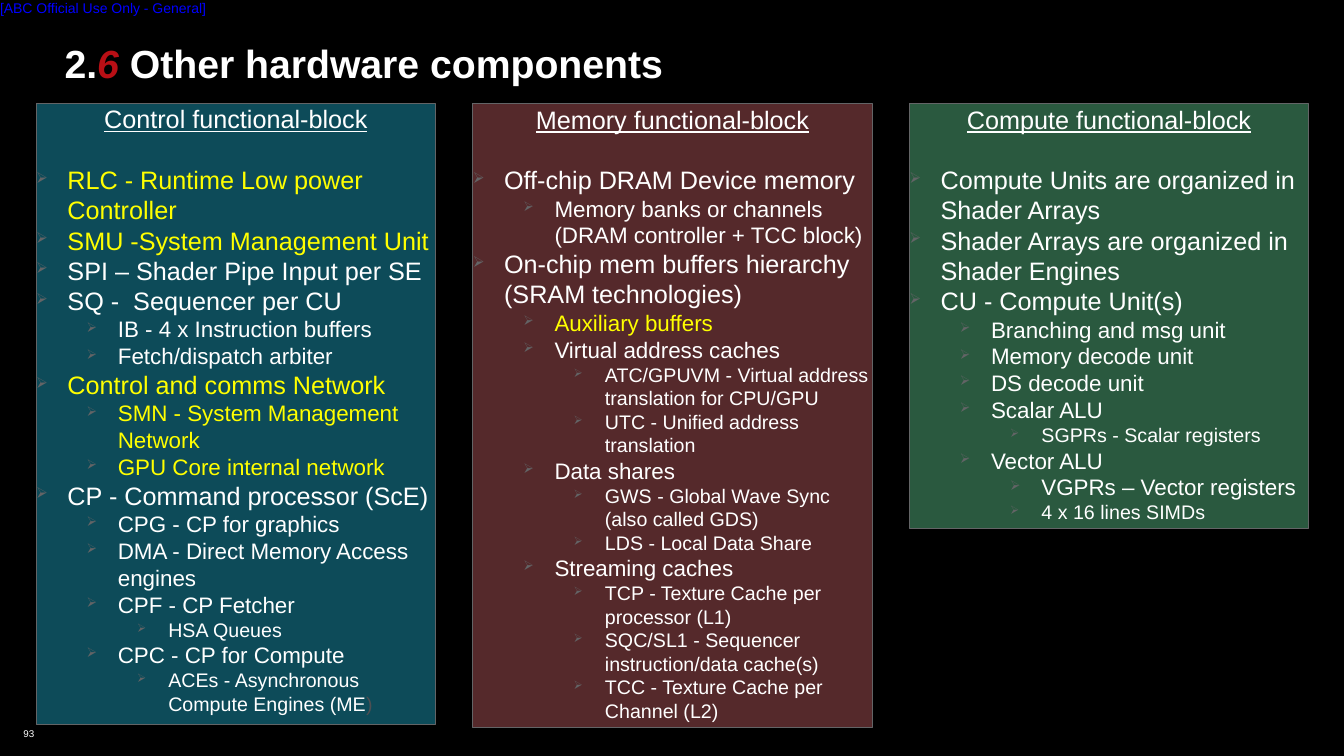
from lxml import etree
from pptx import Presentation
from pptx.dml.color import RGBColor
from pptx.enum import shapes, text
from pptx.oxml import ns
from pptx.util import Inches, Pt

BLACK = RGBColor(0x00, 0x00, 0x00)
WHITE = RGBColor(0xFF, 0xFF, 0xFF)
YELLOW = RGBColor(0xFF, 0xFF, 0x00)
RED = RGBColor(0xB8, 0x0F, 0x15)
BLUE = RGBColor(0x00, 0x00, 0xFF)
GREY = RGBColor(0x63, 0x64, 0x66)
DARK = RGBColor(0x4E, 0x4F, 0x52)
CYAN = RGBColor(0x28, 0xD8, 0xFF)
PINK = RGBColor(0xF4, 0x77, 0x7C)
MINT = RGBColor(0x79, 0xFF, 0xB6)

LABEL = "[ABC Official Use Only - General]"
PAGE = "93"
TITLE = [("2.", WHITE, False), ("6 ", RED, True),
         ("Other hardware components", WHITE, False)]
SIZES = [18, 16, 14]

BLOCKS = [
    ("Control functional-block", CYAN, 6.16, [
        (0, "RLC - Runtime Low power Controller", YELLOW),
        (0, "SMU -System Management Unit", YELLOW),
        (0, "SPI – Shader Pipe Input per SE"),
        (0, "SQ -  Sequencer per CU"),
        (1, "IB - 4 x Instruction buffers"),
        (1, "Fetch/dispatch arbiter"),
        (0, "Control and comms Network", YELLOW),
        (1, "SMN - System Management Network", YELLOW),
        (1, "GPU Core internal network", YELLOW),
        (0, "CP - Command processor (ScE)"),
        (1, "CPG - CP for graphics"),
        (1, "DMA - Direct Memory Access engines"),
        (1, "CPF - CP Fetcher"),
        (2, "HSA Queues"),
        (1, "CPC - CP for Compute"),
        (2, "ACEs - Asynchronous Compute Engines (ME"),
    ]),
    ("Memory functional-block", PINK, 6.19, [
        (0, "Off-chip DRAM Device memory"),
        (1, "Memory banks or channels (DRAM controller + TCC block)"),
        (0, "On-chip mem buffers hierarchy (SRAM technologies)"),
        (1, "Auxiliary buffers", YELLOW),
        (1, "Virtual address caches"),
        (2, "ATC/GPUVM - Virtual address translation for CPU/GPU"),
        (2, "UTC - Unified address translation"),
        (1, "Data shares"),
        (2, "GWS - Global Wave Sync (also called GDS)"),
        (2, "LDS - Local Data Share"),
        (1, "Streaming caches"),
        (2, "TCP - Texture Cache per processor (L1)"),
        (2, "SQC/SL1 - Sequencer instruction/data cache(s)"),
        (2, "TCC - Texture Cache per Channel (L2)"),
    ]),
    ("Compute functional-block", MINT, 4.21, [
        (0, "Compute Units are organized in Shader Arrays"),
        (0, "Shader Arrays are organized in Shader Engines"),
        (0, "CU - Compute Unit(s)"),
        (1, "Branching and msg unit"),
        (1, "Memory decode unit"),
        (1, "DS decode unit"),
        (1, "Scalar ALU"),
        (2, "SGPRs - Scalar registers"),
        (1, "Vector ALU"),
        (2, "VGPRs – Vector registers", WHITE, 16),
        (2, "4 x 16 lines SIMDs"),
    ]),
]


def style(para, size, color):
    para.font.name = "Arial"
    para.font.size = Pt(size)
    para.font.color.rgb = color


def setup(frame, anchor=text.MSO_ANCHOR.TOP, wrap=True):
    frame.margin_left = frame.margin_right = 0
    frame.margin_top = frame.margin_bottom = 0
    frame.vertical_anchor = anchor
    frame.word_wrap = wrap
    return frame.paragraphs[0]


def space(para, after=0):
    para.line_spacing = 1.0
    para.space_before = Pt(0)
    para.space_after = Pt(after)


def bullet(para, level):
    props = para._p.get_or_add_pPr()
    props.set("marL", str(Inches(0.31 + 0.5 * level)))
    props.set("indent", str(Inches(-0.31)))
    tint = etree.SubElement(props, ns.qn("a:buClr"))
    etree.SubElement(tint, ns.qn("a:srgbClr"), val=str(GREY))
    etree.SubElement(props, ns.qn("a:buSzPct"), val="60000")
    etree.SubElement(props, ns.qn("a:buFont"), typeface="Wingdings",
                     charset="2")
    etree.SubElement(props, ns.qn("a:buChar"), char="Ø")


def add_item(frame, level, words, color=WHITE, size=None):
    para = frame.add_paragraph()
    para.level = level
    para.alignment = text.PP_ALIGN.LEFT
    space(para)
    bullet(para, level)
    style(para, size or SIZES[level], color)
    para.add_run().text = words
    return para


def add_block(slide, left, head, color, height, items):
    box = slide.shapes.add_shape(shapes.MSO_SHAPE.RECTANGLE, Inches(left),
                                 Inches(1.03), Inches(3.96), Inches(height))
    box.shadow.inherit = False
    box.fill.solid()
    box.fill.fore_color.rgb = color
    tint = box._element.spPr.find(".//" + ns.qn("a:srgbClr"))
    etree.SubElement(tint, ns.qn("a:alpha"), val="35000")
    box.line.color.rgb = GREY
    box.line.width = Pt(0.75)
    para = setup(box.text_frame)
    para.text = head
    para.alignment = text.PP_ALIGN.CENTER
    space(para, 21.7)
    style(para, 18, WHITE)
    para.font.underline = True
    return [add_item(box.text_frame, *item) for item in items]


def add_note(slide, area, words, size, color, anchor, wrap):
    box = slide.shapes.add_textbox(*map(Inches, area))
    para = setup(box.text_frame, anchor, wrap)
    para.text = words
    style(para, size, color)
    return para


def main():
    deck = Presentation()
    deck.slide_width, deck.slide_height = Inches(13.33), Inches(7.5)
    slide = deck.slides.add_slide(deck.slide_layouts[5])
    slide.background.fill.solid()
    slide.background.fill.fore_color.rgb = BLACK

    title = slide.shapes.title
    title.left, title.top = Inches(0.64), Inches(0.39)
    title.width, title.height = Inches(12.05), Inches(0.47)
    para = setup(title.text_frame)
    para.alignment = text.PP_ALIGN.LEFT
    space(para)
    para.font.name = "Arial"
    para.font.size = Pt(28)
    para.font.bold = True
    for words, color, slant in TITLE:
        run = para.add_run()
        run.text = words
        run.font.color.rgb = color
        run.font.italic = slant

    ends = [add_block(slide, 0.36 + 4.33 * col, *block)[-1]
            for col, block in enumerate(BLOCKS)]
    close = ends[0].add_run()
    close.text = ")"
    close.font.color.rgb = DARK

    add_note(slide, (0, 0, 2.11, 0.17), LABEL, 10, BLUE,
             text.MSO_ANCHOR.TOP, True)
    page = add_note(slide, (0.21, 7.17, 0.13, 0.21), PAGE, 7, WHITE,
                    text.MSO_ANCHOR.MIDDLE, False)
    page.alignment = text.PP_ALIGN.RIGHT
    deck.save("out.pptx")


if __name__ == "__main__":
    main()
